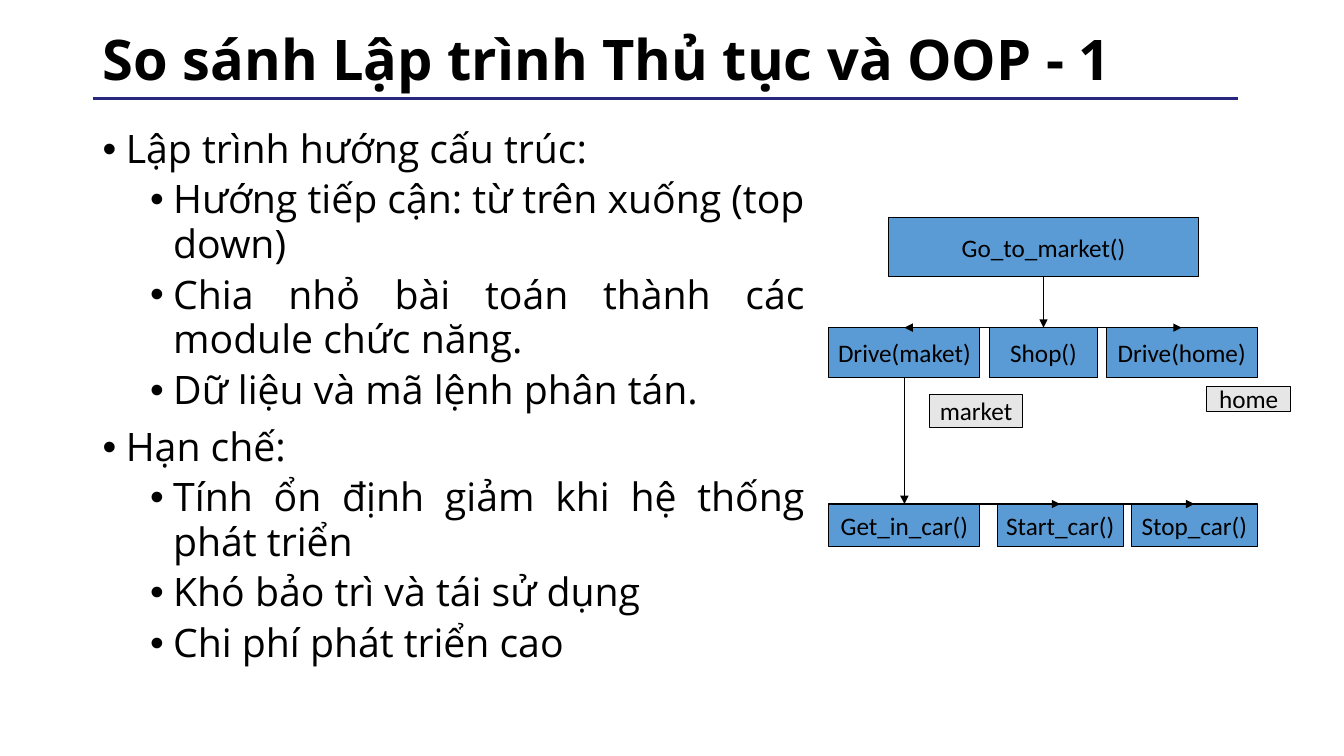
from lxml import etree
from pptx import Presentation
from pptx import util as u
from pptx.dml.color import RGBColor
from pptx.enum import shapes, text
from pptx.oxml import ns

COLORS = {"ink": "000000", "rule": "272780", "step": "5B9BD5", "data": "E7E6E6"}


def style_line(line, color, width):
    line.color.rgb = RGBColor.from_string(COLORS[color])
    line.width = u.Pt(width)


def style_span(span, font, size, bold=False):
    span.font.name = font
    span.font.size = u.Pt(size)
    span.font.bold = bold
    span.font.color.rgb = RGBColor.from_string(COLORS["ink"])


deck = Presentation()
deck.slide_width = u.Inches(13.33)
deck.slide_height = u.Inches(7.5)
page = deck.slides.add_slide(deck.slide_layouts[6])

rule = page.shapes.add_connector(
    shapes.MSO_CONNECTOR.STRAIGHT,
    u.Inches(0.92), u.Inches(0.98), u.Inches(12.28), u.Inches(0.98))
style_line(rule.line, "rule", 2)

title = page.shapes.add_textbox(u.Inches(0.92), u.Inches(0.17), u.Inches(11.5), u.Inches(0.89))
title.text_frame.word_wrap = True
title.text_frame.vertical_anchor = text.MSO_ANCHOR.MIDDLE
title.text_frame.text = "So sánh Lập trình Thủ tục và OOP - 1"
para = title.text_frame.paragraphs[0]
para.line_spacing = 0.9
style_span(para.runs[0], "Open Sans", 40, True)

points = [
    (0, 0, "Lập trình hướng cấu trúc:"),
    (1, 4, "Hướng tiếp cận: từ trên xuống (top down)"),
    (1, 4, "Chia nhỏ bài toán thành các module chức năng."),
    (1, 4, "Dữ liệu và mã lệnh phân tán."),
    (0, 9, "Hạn chế:"),
    (1, 4, "Tính ổn định giảm khi hệ thống phát triển"),
    (1, 4, "Khó bảo trì và tái sử dụng"),
    (1, 4, "Chi phí phát triển cao"),
]
body = page.shapes.add_textbox(u.Inches(0.92), u.Inches(1.22), u.Inches(7.16), u.Inches(5.53))
body.text_frame.word_wrap = True
body.text_frame.text = "\n".join(words for level, space, words in points)
for para, (level, space, words) in zip(body.text_frame.paragraphs, points):
    para.level = level
    para.alignment = text.PP_ALIGN.JUSTIFY
    para.line_spacing = 0.95
    para.space_before = u.Pt(space)
    style_span(para.runs[0], "Open Sans", 28)
    props = para._p.get_or_add_pPr()
    props.set("marL", str(u.Inches(0.23 + 0.47 * level)))
    props.set("indent", str(u.Inches(-0.23)))
    etree.SubElement(props, ns.qn("a:buFont")).set("typeface", "Arial")
    etree.SubElement(props, ns.qn("a:buChar")).set("char", "•")

boxes = {}
for label, left, top, width, height, color in [
    ("Go_to_market()", 8.81, 2.16, 3.08, 0.58, "step"),
    ("Drive(maket)", 8.22, 3.25, 1.5, 0.5, "step"),
    ("Shop()", 9.81, 3.25, 1.08, 0.5, "step"),
    ("Drive(home)", 10.97, 3.25, 1.5, 0.5, "step"),
    ("Get_in_car()", 8.22, 5, 1.5, 0.42, "step"),
    ("Start_car()", 9.89, 5, 1.25, 0.42, "step"),
    ("Stop_car()", 11.22, 5, 1.25, 0.42, "step"),
    ("market", 9.22, 3.91, 0.92, 0.33, "data"),
    ("home", 11.97, 3.83, 0.83, 0.25, "data"),
]:
    box = page.shapes.add_shape(
        shapes.MSO_SHAPE.RECTANGLE,
        u.Inches(left), u.Inches(top), u.Inches(width), u.Inches(height))
    box.shadow.inherit = False
    box.fill.solid()
    box.fill.fore_color.rgb = RGBColor.from_string(COLORS[color])
    style_line(box.line, "ink", 0.75)
    frame = box.text_frame
    frame.word_wrap = True
    frame.margin_left = frame.margin_right = u.Inches(0.05)
    frame.margin_top = frame.margin_bottom = 0
    frame.vertical_anchor = text.MSO_ANCHOR.MIDDLE
    frame.text = label
    frame.paragraphs[0].alignment = text.PP_ALIGN.CENTER
    style_span(frame.paragraphs[0].runs[0], "Calibri", 18)
    boxes[label] = box

arrows = []
for caller, called in [("Go_to_market()", "Shop()"), ("Drive(maket)", "Get_in_car()")]:
    arrow = page.shapes.add_connector(shapes.MSO_CONNECTOR.STRAIGHT, 0, 0, 0, 0)
    arrow.begin_connect(boxes[caller], 2)
    arrow.end_connect(boxes[called], 0)
    arrows.append(arrow)

for caller, called in [
    ("Go_to_market()", "Drive(maket)"),
    ("Go_to_market()", "Drive(home)"),
    ("Drive(maket)", "Start_car()"),
    ("Drive(maket)", "Stop_car()"),
]:
    source, target = boxes[caller], boxes[called]
    start = source.left + source.width // 2
    outline = page.shapes.build_freeform(start, source.top + source.height)
    outline.add_line_segments(
        [(start, target.top), (target.left + target.width // 2, target.top)], close=False)
    elbow = outline.convert_to_shape()
    elbow.fill.background()
    elbow.shadow.inherit = False
    arrows.append(elbow)

for arrow in arrows:
    style_line(arrow.line, "ink", 0.75)
    etree.SubElement(arrow.line._get_or_add_ln(), ns.qn("a:tailEnd")).set("type", "triangle")

for connector in [rule] + arrows[:2]:
    etree.SubElement(connector._element.spPr, ns.qn("a:effectLst"))

deck.save("out.pptx")
